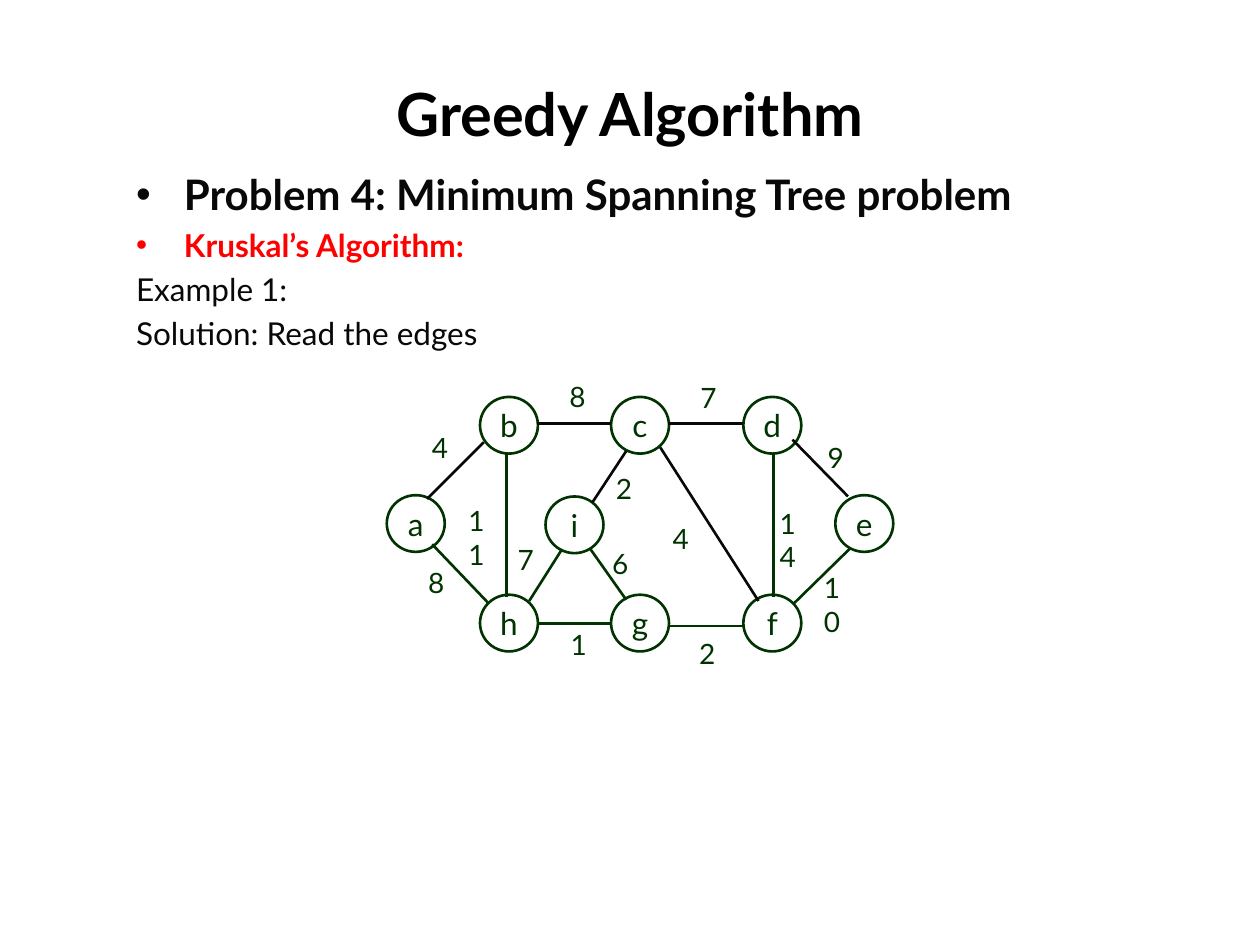
from lxml.etree import SubElement
from pptx import Presentation
from pptx.dml.color import RGBColor
from pptx.enum.shapes import MSO_CONNECTOR as Connector, MSO_SHAPE as Shape
from pptx.enum.text import MSO_ANCHOR as Anchor, MSO_AUTO_SIZE as AutoSize, PP_ALIGN as Align
from pptx.oxml.ns import qn
from pptx.util import Inches, Pt

BLACK = RGBColor(0x00, 0x00, 0x00)
INK = RGBColor(0x08, 0x08, 0x08)
RED = RGBColor(0xFF, 0x00, 0x00)
GREEN = RGBColor(0x00, 0x33, 0x00)

NODE_WIDTH, NODE_HEIGHT = 0.46, 0.45
LABEL_HEIGHT = 0.36
TOP, MIDDLE, BOTTOM = 3.15, 3.93, 4.72
COLUMNS = (3.81, 4.85, 5.9)

NODES = [
    ("a", 3.07, MIDDLE), ("e", 6.63, MIDDLE), ("i", 4.33, MIDDLE + 0.01),
    *[(name, left, TOP) for name, left in zip("bcd", COLUMNS)],
    *[(name, left, BOTTOM) for name, left in zip("hgf", COLUMNS)],
]

# start, end, line colour, weight, left and top of the weight
EDGES = [
    ((4.02, 3.6), (4.02, 4.74), GREEN, 11, (3.62, 3.95)),   # b-h
    ((6.14, 3.6), (6.14, 4.74), GREEN, 14, (6.09, 3.97)),   # d-f
    ((4.26, 3.36), (4.85, 3.36), INK, 8, (4.42, 2.96)),     # b-c
    ((5.3, 3.36), (5.9, 3.36), INK, 7, (5.46, 2.97)),       # c-d
    ((4.26, 4.95), (4.85, 4.95), GREEN, 1, (4.43, 4.93)),   # h-g
    ((5.32, 4.97), (5.91, 4.97), GREEN, 2, (5.45, 5)),      # g-f
    ((3.39, 3.96), (3.84, 3.51), INK, 4, (3.33, 3.37)),     # a-b
    ((6.3, 4.79), (6.75, 4.35), GREEN, 10, (6.44, 4.48)),   # f-e
    ((6.29, 3.49), (6.73, 3.94), INK, 9, (6.47, 3.45)),     # d-e
    ((3.43, 4.32), (3.87, 4.78), GREEN, 8, (3.3, 4.44)),    # a-h
    ((5.24, 3.55), (6.02, 4.77), INK, 4, (5.24, 4.09)),     # c-f
    ((4.68, 4.35), (4.97, 4.76), GREEN, 6, (4.76, 4.29)),   # i-g
    ((4.2, 4.77), (4.46, 4.36), GREEN, 7, (4.01, 4.26)),    # h-i
    ((4.7, 3.99), (4.97, 3.58), INK, 2, (4.79, 3.69)),      # i-c
]

# text, size, colour, bold, bulleted
LINES = [
    ("Problem 4: Minimum Spanning Tree problem", 24, INK, True, True),
    ("Kruskal’s Algorithm:", 18, RED, True, True),
    ("Example 1:", 18, INK, False, False),
    ("Solution: Read the edges", 18, INK, False, False),
]


class GraphSlide:
    font = "Lato"
    line_width = Pt(1.5)

    def __init__(self, slide):
        self.slide = slide
        self.shapes = slide.shapes

    def place(self, shape, left, top, width, height):
        shape.left, shape.top = Inches(left), Inches(top)
        shape.width, shape.height = Inches(width), Inches(height)

    def add_text(self, paragraph, text, size, color, bold=False, align=None):
        paragraph.alignment = align
        run = paragraph.add_run()
        run.text = text
        run.font.name = self.font
        run.font.size = Pt(size)
        run.font.bold = bold
        run.font.color.rgb = color

    def title(self, text):
        heading = self.shapes.title
        self.place(heading, 0.5, 0.5, 9, 0.79)
        frame = heading.text_frame
        frame.auto_size = AutoSize.NONE
        frame.vertical_anchor = Anchor.MIDDLE
        self.add_text(frame.paragraphs[0], text, 34, BLACK, True, Align.CENTER)

    def body(self, lines):
        outline = self.slide.placeholders[1]
        self.place(outline, 0.98, 1.29, 8.19, 1.5)
        frame = outline.text_frame
        frame.auto_size = AutoSize.NONE
        for index, (text, size, color, bold, bulleted) in enumerate(lines):
            paragraph = frame.add_paragraph() if index else frame.paragraphs[0]
            self.add_text(paragraph, text, size, color, bold, Align.JUSTIFY)
            self.bullet(paragraph, bulleted)

    def bullet(self, paragraph, shown):
        indent = Inches(0.38) if shown else 0
        properties = paragraph._p.get_or_add_pPr()
        properties.set("marL", str(indent))
        properties.set("indent", str(-indent))
        if shown:
            SubElement(properties, qn("a:buChar")).set("char", "•")
        else:
            SubElement(properties, qn("a:buNone"))

    def node(self, name, left, top):
        circle = self.shapes.add_shape(Shape.OVAL, Inches(left), Inches(top),
                                       Inches(NODE_WIDTH), Inches(NODE_HEIGHT))
        circle.shadow.inherit = False
        circle.fill.background()
        circle.line.color.rgb = GREEN
        circle.line.width = self.line_width
        frame = circle.text_frame
        frame.word_wrap = False
        frame.vertical_anchor = Anchor.MIDDLE
        self.add_text(frame.paragraphs[0], name, 18, GREEN, align=Align.CENTER)

    def edge(self, start, end, color):
        points = [Inches(value) for value in (*start, *end)]
        link = self.shapes.add_connector(Connector.STRAIGHT, *points)
        link.line.color.rgb = color
        link.line.width = self.line_width
        SubElement(link._element.spPr, qn("a:effectLst"))

    def weight(self, value, left, top):
        """Label an edge; two digits stack because the box is narrow."""
        text = str(value)
        width = 0.32 if len(text) == 1 else 0.44
        label = self.shapes.add_textbox(Inches(left), Inches(top),
                                        Inches(width), Inches(LABEL_HEIGHT))
        label.text_frame.word_wrap = True
        self.add_text(label.text_frame.paragraphs[0], text, 16, GREEN)


def main():
    deck = Presentation()
    deck.slide_width, deck.slide_height = Inches(10), Inches(7.5)
    graph = GraphSlide(deck.slides.add_slide(deck.slide_layouts[1]))
    graph.title("Greedy Algorithm")
    graph.body(LINES)
    for node in NODES:
        graph.node(*node)
    for start, end, color, _, _ in EDGES:
        graph.edge(start, end, color)
    for _, _, _, value, position in EDGES:
        graph.weight(value, *position)
    deck.save("out.pptx")


if __name__ == "__main__":
    main()
